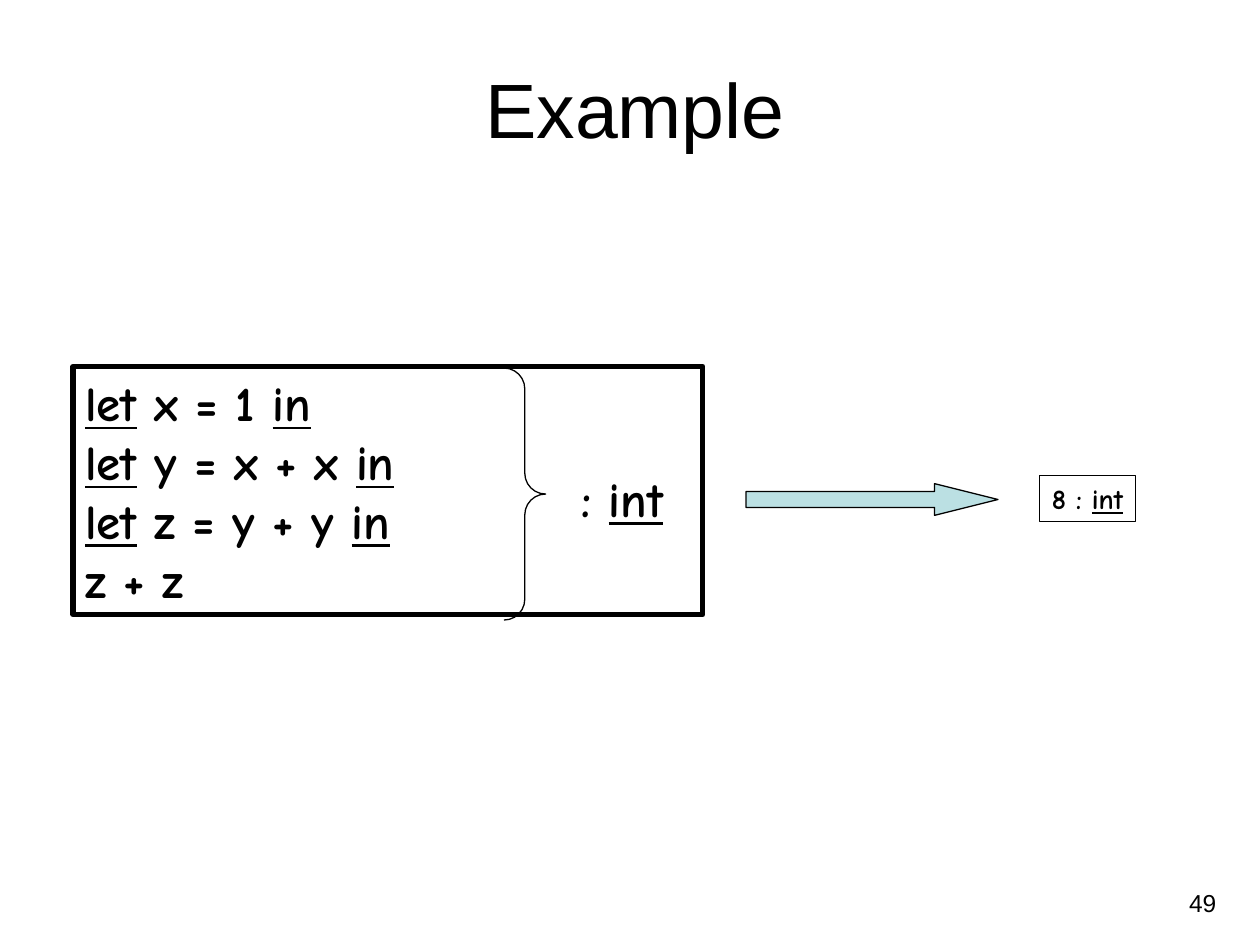
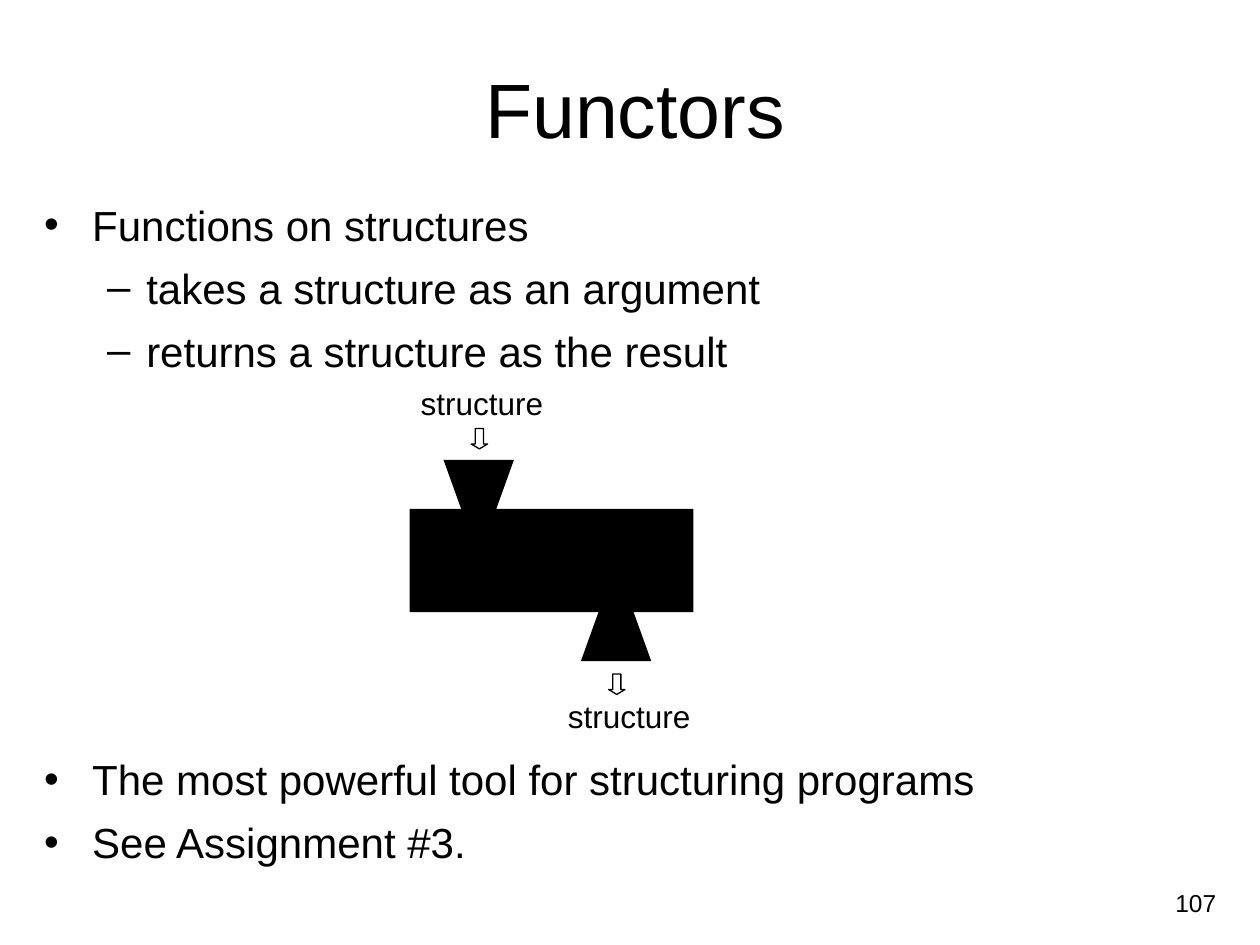
from lxml.etree import SubElement
from pptx import Presentation
from pptx.dml.color import RGBColor
from pptx.enum.shapes import MSO_SHAPE
from pptx.enum.text import MSO_ANCHOR, PP_ALIGN
from pptx.oxml.ns import qn
from pptx.util import Cm, Pt

COLORS = {"ink": "000000", "arrow": "BBE0E3"}
SANS = "Arial"
CODE = "Comic Neue"
BULLETS = [("•", 0.97, 0.97), ("–", 2.06, 0.79)]
BODY_SIZE = 24
BODY_GAP = 7.2
BODY_PITCH = 34.8
DIAGRAM_LINES = 6


def color(name):
    return RGBColor.from_string(COLORS[name])


def style(paragraph, size, font=SANS, bold=False, align=PP_ALIGN.LEFT):
    paragraph.alignment = align
    paragraph.font.size = Pt(size)
    paragraph.font.name = font
    paragraph.font.bold = bold
    paragraph.font.color.rgb = color("ink")


def add_text_box(slide, box, wrap=True):
    shape = slide.shapes.add_textbox(*map(Cm, box))
    shape.text_frame.word_wrap = wrap
    return shape.text_frame


def add_label(slide, box, text, size, align, wrap=True):
    frame = add_text_box(slide, box, wrap)
    paragraph = frame.paragraphs[0]
    paragraph.add_run().text = text
    style(paragraph, size, align=align)
    return frame


def add_figure(slide, kind, box, fill=None, line=None, adjustments=()):
    shape = slide.shapes.add_shape(kind, *map(Cm, box))
    shape.shadow.inherit = False
    for index, value in enumerate(adjustments):
        shape.adjustments[index] = value
    if fill:
        shape.fill.solid()
        shape.fill.fore_color.rgb = color(fill)
    else:
        shape.fill.background()
    if line:
        shape.line.color.rgb = color("ink")
        shape.line.width = Pt(line)
    else:
        shape.line.fill.background()
    return shape


def write_code(frame, lines, size, align=PP_ALIGN.LEFT):
    frame.vertical_anchor = MSO_ANCHOR.TOP
    for index, parts in enumerate(lines):
        paragraph = frame.add_paragraph() if index else frame.paragraphs[0]
        for text in parts:
            run = paragraph.add_run()
            run.text = text
            run.font.underline = text in ("let", "in", "int")
        style(paragraph, size, CODE, True, align)


def add_bullets(slide, box, items):
    frame = add_text_box(slide, box)
    for index, (level, text, gap) in enumerate(items):
        paragraph = frame.add_paragraph() if index else frame.paragraphs[0]
        paragraph.level = level
        paragraph.space_before = Pt(gap)
        character, margin, hanging = BULLETS[level]
        properties = paragraph._p.get_or_add_pPr()
        properties.set("marL", str(Cm(margin)))
        properties.set("indent", str(-Cm(hanging)))
        SubElement(properties, qn("a:buFont"), typeface=SANS)
        SubElement(properties, qn("a:buChar"), char=character)
        paragraph.add_run().text = text
        style(paragraph, BODY_SIZE)


def add_slide(presentation, title, number):
    slide = presentation.slides.add_slide(presentation.slide_layouts[6])
    frame = add_label(slide, (0.64, 0.76, 24.33, 2.84), title, 44, PP_ALIGN.CENTER)
    frame.vertical_anchor = MSO_ANCHOR.MIDDLE
    add_label(slide, (18.85, 17.78, 5.92, 0.89), str(number), 14, PP_ALIGN.RIGHT)
    return slide


def build_example(presentation):
    slide = add_slide(presentation, "Example", 49)
    program = add_figure(slide, MSO_SHAPE.RECTANGLE, (1.47, 7.39, 12.7, 5), line=3)
    write_code(program.text_frame, [
        ("let", " x = 1 ", "in"),
        ("let", " y = x + x ", "in"),
        ("let", " z = y + y ", "in"),
        ("z + z",),
    ], 28)
    result = add_figure(slide, MSO_SHAPE.RECTANGLE, (20.96, 9.58, 1.93, 0.94), line=0.75)
    result.text_frame.word_wrap = False
    write_code(result.text_frame, [("8 : ", "int")], 16, PP_ALIGN.RIGHT)
    add_figure(slide, MSO_SHAPE.RIGHT_ARROW, (15.04, 9.75, 5.08, 0.64), "arrow", 0.75, (0.5, 2))
    program_type = add_text_box(slide, (11.46, 9.32, 2.16, 1.45), wrap=False)
    write_code(program_type, [(": ", "int")], 28, PP_ALIGN.RIGHT)
    add_figure(slide, MSO_SHAPE.RIGHT_BRACE, (10.16, 7.42, 0.84, 5.08), line=0.75,
               adjustments=(0.5, 0.5))


def build_functors(presentation):
    slide = add_slide(presentation, "Functors", 107)
    add_bullets(slide, (0.64, 3.89, 24.33, 13.77), [
        (0, "Functions on structures", 0),
        (1, "takes a structure as an argument", BODY_GAP),
        (1, "returns a structure as the result", BODY_GAP),
        (0, "The most powerful tool for structuring programs",
         BODY_GAP + DIAGRAM_LINES * BODY_PITCH),
        (0, "See Assignment #3.", BODY_GAP),
    ])
    add_figure(slide, MSO_SHAPE.RECTANGLE, (8.26, 10.26, 5.72, 2.08), "ink")
    for left, top, rotation in ((8.94, 9.27, 180), (11.71, 12.34, 0)):
        funnel = add_figure(slide, MSO_SHAPE.TRAPEZOID, (left, top, 1.42, 0.99), "ink",
                            adjustments=(0.36,))
        funnel.rotation = rotation
    for left, top in ((9.5, 8.64), (12.27, 13.59)):
        add_figure(slide, MSO_SHAPE.DOWN_ARROW, (left, top, 0.33, 0.41), line=0.75,
                   adjustments=(0.5, 0.3))
    for left, top in ((8.23, 7.62), (11.2, 13.92)):
        add_label(slide, (left, top, 2.97, 1.02), "structure", 18, PP_ALIGN.RIGHT, wrap=False)


def main():
    presentation = Presentation()
    presentation.slide_width = Cm(25.4)
    presentation.slide_height = Cm(19.05)
    build_example(presentation)
    build_functors(presentation)
    presentation.save("out.pptx")


if __name__ == "__main__":
    main()
